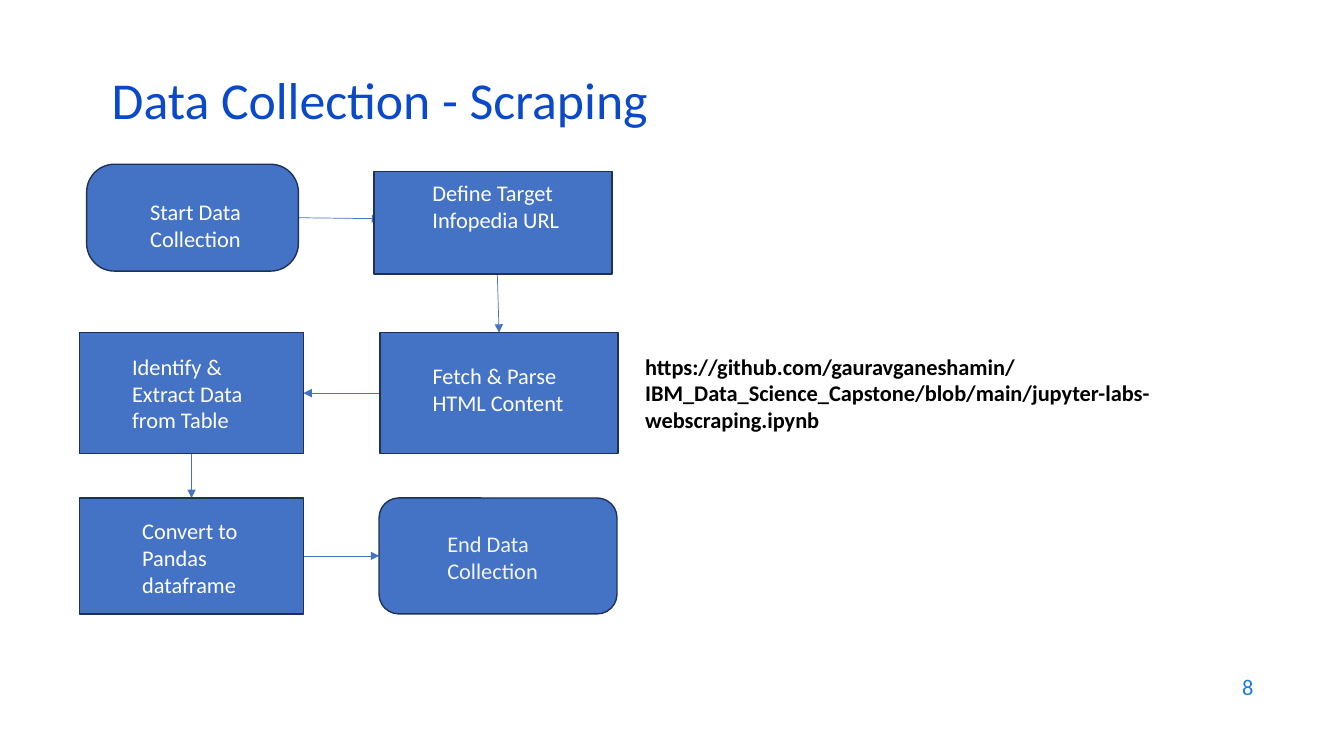
import pptx
import pptx.util
import pptx.dml.color
import pptx.enum.shapes
import pptx.enum.text
import pptx.oxml.ns
import lxml.etree

SHAPE = pptx.enum.shapes.MSO_SHAPE
ALIGN = pptx.enum.text.PP_ALIGN
ANCHOR = pptx.enum.text.MSO_ANCHOR
inch = pptx.util.Inches
FONT, BLUE, EDGE, WHITE = "Calibri", "4472C4", "1E3256", "FFFFFF"
TOP, LEFT, BOTTOM, RIGHT = range(4)
PAD, PAD_TOP = 0.1, 0.05

# text, (left, top, width, height), size, colour, bold, align, anchor, line spacing
TEXTS = [
    ("8", (9.53, 6.59, 3, 0.44), 16, "1C7DDB", False, ALIGN.RIGHT, ANCHOR.MIDDLE, 1.0),
    ("Data Collection - Scraping", (1.01, 0.76, 11.5, 0.6), 37, "0B49CB", False,
     ALIGN.LEFT, ANCHOR.MIDDLE, 0.7),
    ("https://github.com/gauravganeshamin/IBM_Data_Science_Capstone/blob/main/"
     "jupyter-labs-webscraping.ipynb", (6.3, 3.45, 6.68, 0.64), 16, "000000", True,
     ALIGN.LEFT, ANCHOR.TOP, 1.0),
]
# step: text, (left, top, width, height), corner radius, label (left, top, width), colour
STEPS = {
    "start": ("Start Data Collection", (0.86, 1.63, 2.1, 1.06), 0.26, (0.45, 0.21, 1.55), WHITE),
    "define": ("Define Target Infopedia URL", (3.71, 1.7, 2.36, 1.02), 0, (0.48, 0.03, 1.48), WHITE),
    "fetch": ("Fetch & Parse HTML Content", (3.77, 3.3, 2.36, 1.2), 0, (0.42, 0.24, 1.6), WHITE),
    "identify": ("Identify & Extract Data from Table", (0.79, 3.3, 2.22, 1.2), 0, (0.42, 0.15, 1.56), WHITE),
    "convert": ("Convert to Pandas dataframe", (0.79, 4.94, 2.22, 1.15), 0, (0.52, 0.14, 1.34), WHITE),
    "end": ("End Data Collection", (3.76, 4.94, 2.36, 1.15), 0.17, (0.52, 0.21, 1.6), "F2F4F8"),
}
# each end is either (step, side) or a free point (x, y)
ARROWS = [
    (("start", RIGHT), (3.77, 2.17)),
    ((4.93, 2.64), ("fetch", TOP)),
    (("fetch", LEFT), ("identify", RIGHT)),
    (("identify", BOTTOM), ("convert", TOP)),
    (("convert", RIGHT), ("end", LEFT)),
]


def color(hex_code):
    return pptx.dml.color.RGBColor.from_string(hex_code)


def write(tf, text, size, hex_code, bold=False, align=ALIGN.LEFT, anchor=ANCHOR.TOP, spacing=1.0):
    tf.word_wrap = True
    tf.vertical_anchor = anchor
    p = tf.paragraphs[0]
    p.alignment = align
    p.line_spacing = spacing
    r = p.add_run()
    r.text = text
    r.font.name, r.font.size, r.font.bold = FONT, pptx.util.Pt(size), bold
    r.font.color.rgb = color(hex_code)


def add_step(slide, text, box, radius, label, hex_code):
    kind = SHAPE.ROUNDED_RECTANGLE if radius else SHAPE.RECTANGLE
    sp = slide.shapes.add_shape(kind, *map(inch, box))
    if radius:
        sp.adjustments[0] = radius
    sp.shadow.inherit = False
    sp.fill.solid()
    sp.fill.fore_color.rgb = color(BLUE)
    sp.line.color.rgb = color(EDGE)
    sp.line.width = pptx.util.Pt(1)
    left, top, width = label
    tf = sp.text_frame
    tf.margin_left = inch(left + PAD)
    tf.margin_right = inch(box[2] - left - width + PAD)
    tf.margin_top, tf.margin_bottom = inch(top + PAD_TOP), 0
    write(tf, text, 16, hex_code)
    return sp


def add_arrow(slide, steps, begin, end):
    """Draw an arrow behind the steps, joined wherever an end names a step."""
    free = [(0, 0) if e[0] in steps else e for e in (begin, end)]
    line = slide.shapes.add_connector(pptx.enum.shapes.MSO_CONNECTOR.STRAIGHT,
                                      *(inch(v) for point in free for v in point))
    for e, join in ((begin, line.begin_connect), (end, line.end_connect)):
        if e[0] in steps:
            join(steps[e[0]], e[1])
    line.line.color.rgb = color(BLUE)
    line.line.width = pptx.util.Pt(0.5)
    qn = pptx.oxml.ns.qn
    props = line._element.spPr
    lxml.etree.SubElement(props.find(qn("a:ln")), qn("a:tailEnd"), type="triangle")
    lxml.etree.SubElement(props, qn("a:effectLst"))
    slide.shapes._spTree.insert(2, line._element)


def main():
    prs = pptx.Presentation()
    prs.slide_width, prs.slide_height = inch(13.33), inch(7.5)
    slide = prs.slides.add_slide(prs.slide_layouts[6])
    for text, box, *style in TEXTS:
        write(slide.shapes.add_textbox(*map(inch, box)).text_frame, text, *style)
    steps = {name: add_step(slide, *step) for name, step in STEPS.items()}
    for begin, end in ARROWS:
        add_arrow(slide, steps, begin, end)
    prs.save("out.pptx")


if __name__ == "__main__":
    main()
